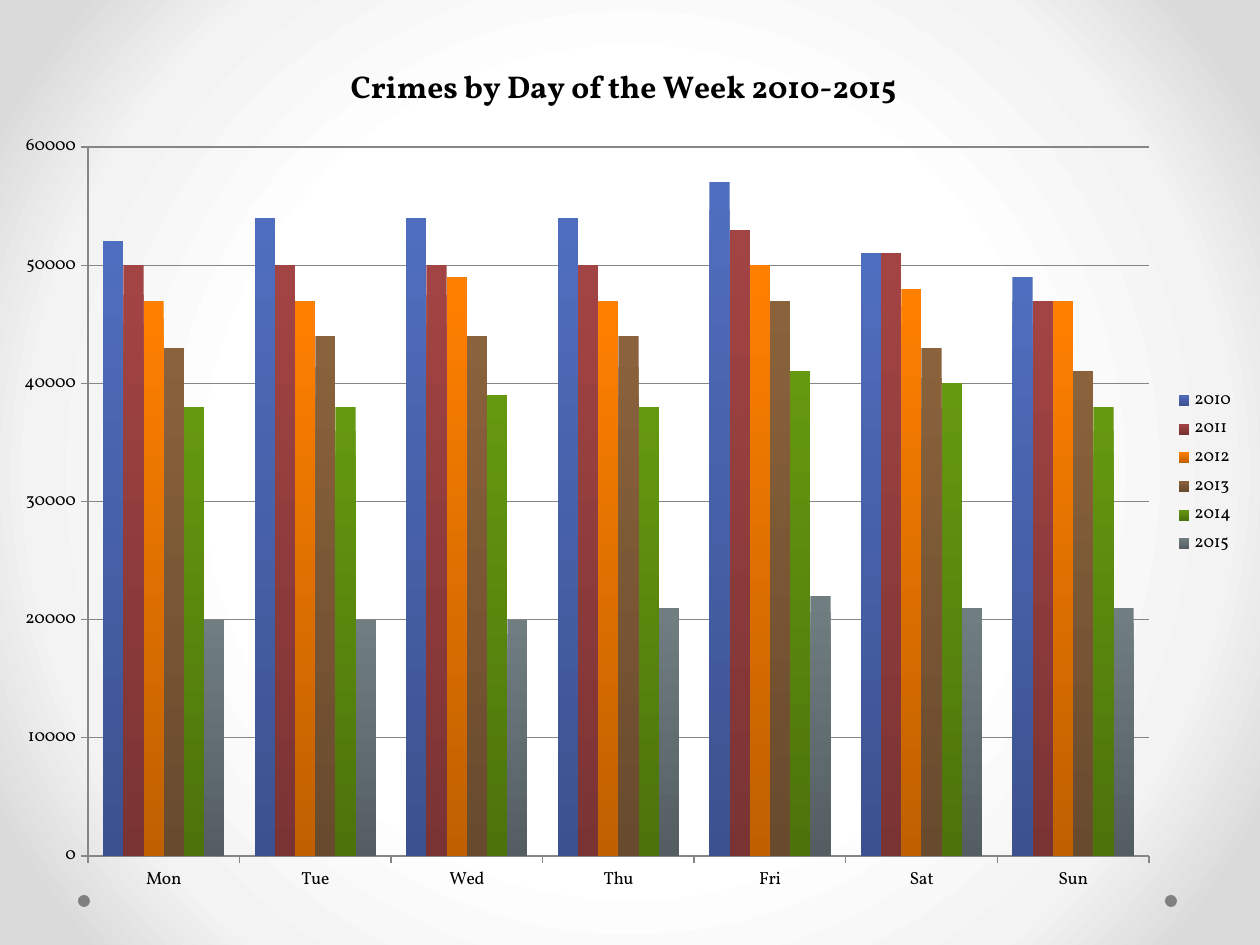
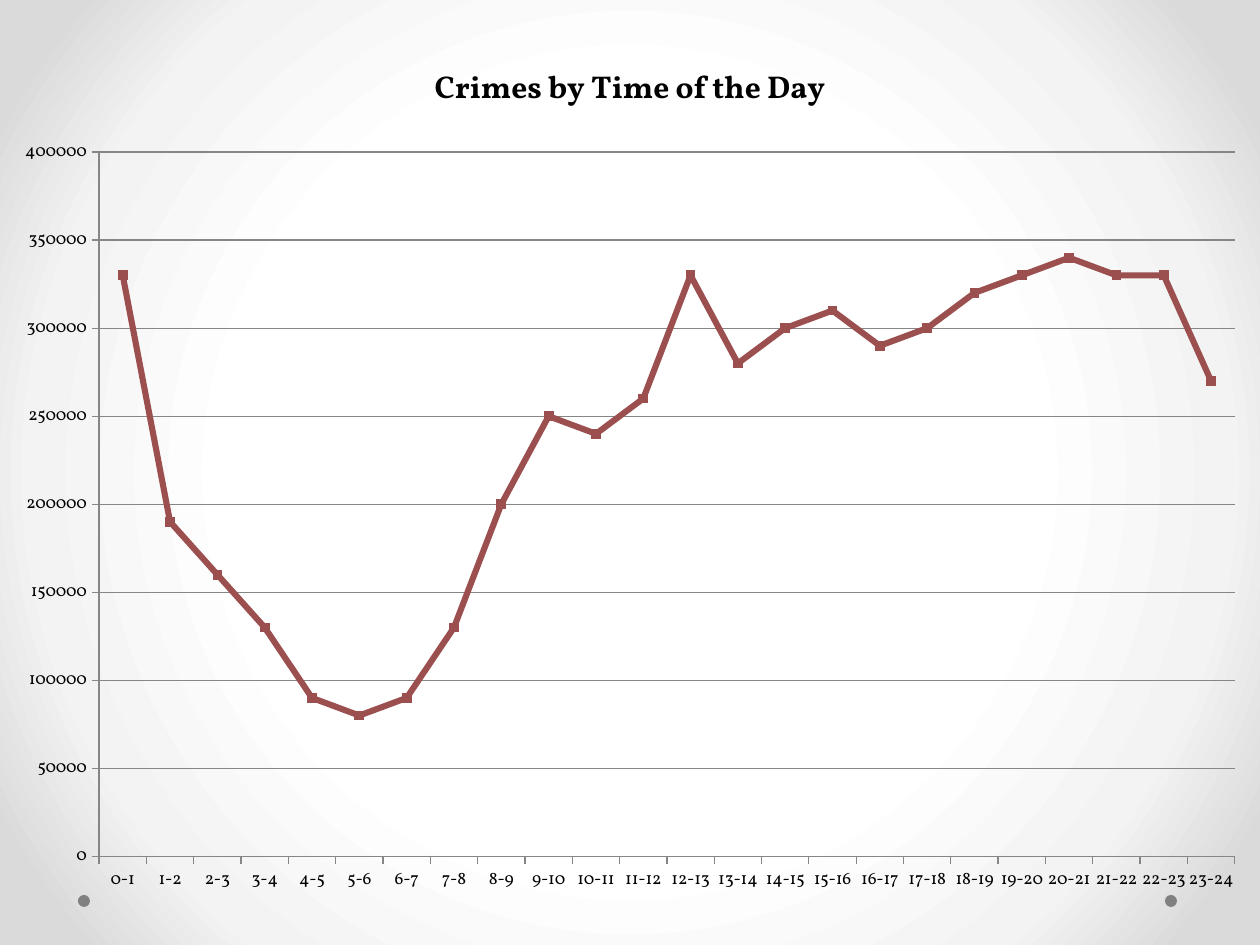
from dataclasses import dataclass
from typing import NamedTuple

from pptx import Presentation
from pptx.chart.data import CategoryChartData
from pptx.dml.color import RGBColor
from pptx.enum.chart import XL_CHART_TYPE, XL_LEGEND_POSITION, XL_MARKER_STYLE, XL_TICK_MARK
from pptx.enum.shapes import MSO_SHAPE
from pptx.oxml import parse_xml
from pptx.oxml.ns import nsdecls, qn
from pptx.util import Emu, Pt


class Box(NamedTuple):
    """A rectangle in px."""
    left: int
    top: int
    width: int
    height: int


@dataclass(frozen=True)
class Theme:
    """Colours, fonts and type sizes shared by the slides."""
    font: str = "Vollkorn"
    ink: str = "000000"
    rule: str = "868686"
    dot: str = "808080"
    line: str = "9C4F4F"
    years: tuple = ("506EBF", "A34444", "FF8000", "8A633C", "65990F", "707E82")
    backdrop: tuple = ((50, "FFFFFF"), (76, "F3F3F3"), (92, "DADADA"))
    shade: float = 0.75
    title_size: int = 18
    label_size: int = 10


THEME = Theme()
PAGE = Box(0, 0, 1260, 945)

DAYS = ("Mon", "Tue", "Wed", "Thu", "Fri", "Sat", "Sun")
CRIMES_BY_DAY = {
    "2010": (52000, 54000, 54000, 54000, 57000, 51000, 49000),
    "2011": (50000, 50000, 50000, 50000, 53000, 51000, 47000),
    "2012": (47000, 47000, 49000, 47000, 50000, 48000, 47000),
    "2013": (43000, 44000, 44000, 44000, 47000, 43000, 41000),
    "2014": (38000, 38000, 39000, 38000, 41000, 40000, 38000),
    "2015": (20000, 20000, 20000, 21000, 22000, 21000, 21000),
}
HOURS = tuple(f"{hour}-{hour + 1}" for hour in range(24))
CRIMES_BY_HOUR = {
    "Series 1": (
        330000, 190000, 160000, 130000, 90000, 80000, 90000, 130000,
        200000, 250000, 240000, 260000, 330000, 280000, 300000, 310000,
        290000, 300000, 320000, 330000, 340000, 330000, 330000, 270000,
    ),
}


def px(length):
    """Turn px into EMU."""
    return Emu(round(length * 914400 / 126))


def rgb(code):
    """Turn a hex code into a colour."""
    return RGBColor.from_string(code)


def shaded(code):
    """Return the darker end of a bar's gradient."""
    return RGBColor(*(round(part * THEME.shade) for part in rgb(code)))


def style_font(font, size, bold=False):
    """Apply the theme font at a given size."""
    font.name = THEME.font
    font.size = Pt(size)
    font.bold = bold
    font.color.rgb = rgb(THEME.ink)


def paint_backdrop(master):
    """Give the master its round grey gradient."""
    fill = master.background.fill
    fill.gradient()
    stops = "".join(
        f'<a:gs pos="{place * 1000}"><a:srgbClr val="{code}"/></a:gs>'
        for place, code in THEME.backdrop
    )
    glow = parse_xml(
        f'<a:gradFill {nsdecls("a")} rotWithShape="1"><a:gsLst>{stops}</a:gsLst>'
        '<a:path path="circle"><a:fillToRect l="50000" t="50000" r="50000" b="50000"/></a:path>'
        "</a:gradFill>"
    )
    flat = master.element.find(".//" + glow.tag)
    flat.getparent().replace(flat, glow)


def add_corner_dots(page, box):
    """Place a dot near each lower corner of the box."""
    size, top = 12, box.top + box.height - 50
    for left in (box.left + 78, box.left + box.width - 95):
        dot = page.shapes.add_shape(MSO_SHAPE.OVAL, px(left), px(top), px(size), px(size))
        dot.shadow.inherit = False
        dot.fill.solid()
        dot.fill.fore_color.rgb = rgb(THEME.dot)
        dot.line.fill.background()


def style_axis(axis):
    """Draw an axis with thin grey rules and outer ticks."""
    axis.major_tick_mark = XL_TICK_MARK.OUTSIDE
    axis.minor_tick_mark = XL_TICK_MARK.NONE
    axis.format.line.color.rgb = rgb(THEME.rule)
    axis.format.line.width = Pt(0.75)
    style_font(axis.tick_labels.font, THEME.label_size)


def place_plot(chart, box, plot):
    """Fix the inner plot area, given relative to the chart box."""
    shares = {
        "x": plot.left / box.width, "y": plot.top / box.height,
        "w": plot.width / box.width, "h": plot.height / box.height,
    }
    modes = "".join(f'<c:{side}Mode val="edge"/>' for side in "xy")
    sizes = "".join(f'<c:{side} val="{share:.5f}"/>' for side, share in shares.items())
    layout = parse_xml(
        f'<c:layout {nsdecls("c")}><c:manualLayout><c:layoutTarget val="inner"/>'
        f"{modes}{sizes}</c:manualLayout></c:layout>"
    )
    area = chart.element.find(".//" + qn("c:plotArea"))
    for automatic in area.findall(qn("c:layout")):
        area.remove(automatic)
    area.insert(0, layout)


def add_crime_chart(page, box, kind, title, categories, table, top_value, step):
    """Add a titled chart that fills the box."""
    data = CategoryChartData(number_format="General")
    data.categories = categories
    for name, values in table.items():
        data.add_series(name, values)
    chart = page.shapes.add_chart(kind, *map(px, box), data).chart
    style_font(chart.font, THEME.label_size)
    chart.has_title = True
    span = chart.chart_title.text_frame.paragraphs[0].add_run()
    span.text = title
    style_font(span.font, THEME.title_size, bold=True)
    chart.chart_title.include_in_layout = False
    chart.has_legend = False
    chart.plots[0].vary_by_categories = False
    style_axis(chart.category_axis)
    scale = chart.value_axis
    style_axis(scale)
    scale.minimum_scale, scale.maximum_scale, scale.major_unit = 0, top_value, step
    scale.has_major_gridlines = True
    scale.major_gridlines.format.line.color.rgb = rgb(THEME.rule)
    scale.major_gridlines.format.line.width = Pt(0.75)
    return chart


def add_page(deck):
    """Add a blank page with its corner dots."""
    page = deck.slides.add_slide(deck.slide_layouts[6])
    add_corner_dots(page, PAGE)
    return page


def build_day_page(deck, box):
    """Build the clustered columns by weekday and year."""
    chart = add_crime_chart(
        add_page(deck), box, XL_CHART_TYPE.COLUMN_CLUSTERED,
        "Crimes by Day of the Week 2010-2015", DAYS, CRIMES_BY_DAY, 60000, 10000,
    )
    place_plot(chart, box, Box(88, 112, 1061, 709))
    plot = chart.plots[0]
    plot.gap_width, plot.overlap = 150, 0
    for year, code in zip(plot.series, THEME.years):
        year.invert_if_negative = False
        fill = year.format.fill
        fill.gradient()
        fill.gradient_angle = 270
        fill.gradient_stops[0].color.rgb = rgb(code)
        fill.gradient_stops[1].color.rgb = shaded(code)
    chart.has_legend = True
    chart.legend.position = XL_LEGEND_POSITION.RIGHT
    chart.legend.include_in_layout = False
    style_font(chart.legend.font, THEME.label_size)


def build_hour_page(deck, box):
    """Build the line of crimes by hour."""
    chart = add_crime_chart(
        add_page(deck), box, XL_CHART_TYPE.LINE_MARKERS,
        "Crimes by Time of the Day", HOURS, CRIMES_BY_HOUR, 400000, 50000,
    )
    crimes = chart.plots[0].series[0]
    crimes.smooth = False
    crimes.format.line.color.rgb = rgb(THEME.line)
    crimes.format.line.width = Pt(3.5)
    marker = crimes.marker
    marker.style, marker.size = XL_MARKER_STYLE.SQUARE, 5
    marker.format.fill.solid()
    marker.format.fill.fore_color.rgb = rgb(THEME.line)
    marker.format.line.color.rgb = rgb(THEME.line)


def main():
    """Build and save the deck."""
    deck = Presentation()
    deck.slide_width, deck.slide_height = px(PAGE.width), px(PAGE.height)
    paint_backdrop(deck.slide_master)
    build_day_page(deck, Box(0, 35, 1247, 874))
    build_hour_page(deck, Box(0, 35, 1260, 875))
    deck.save("out.pptx")


if __name__ == "__main__":
    main()
